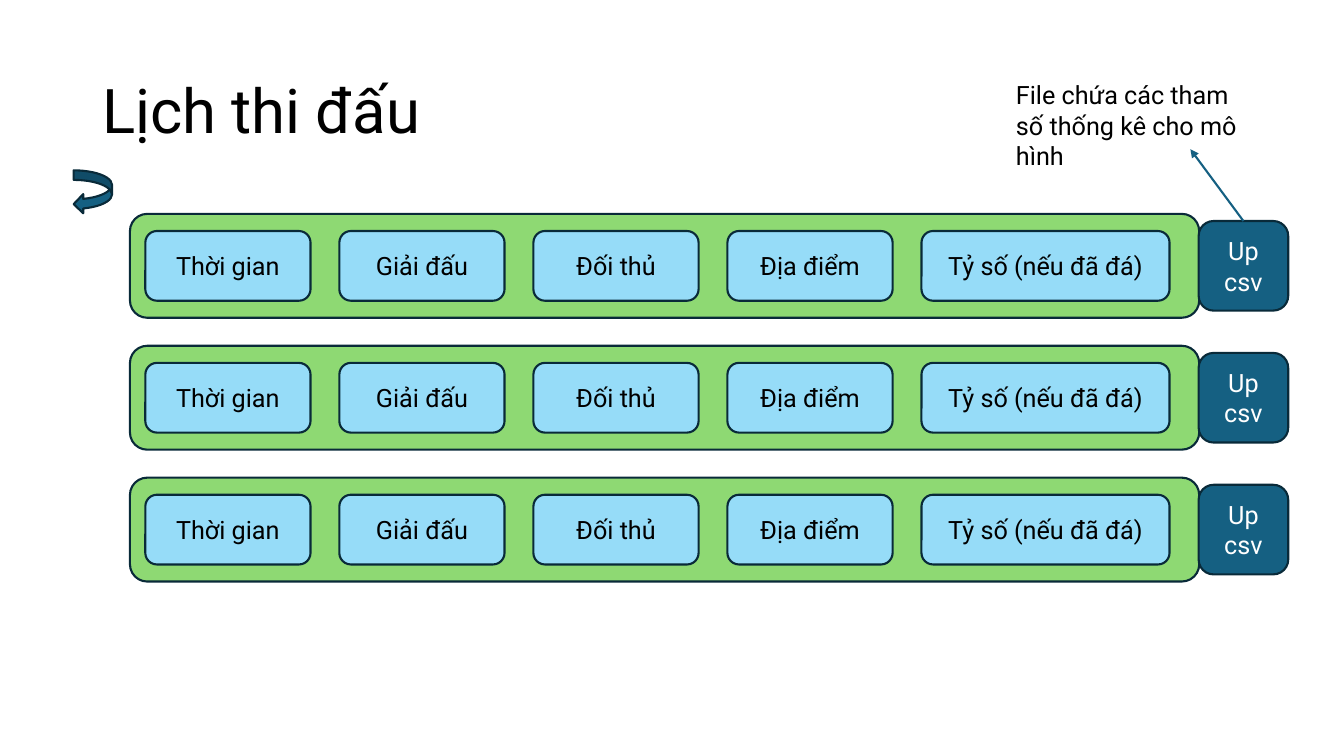
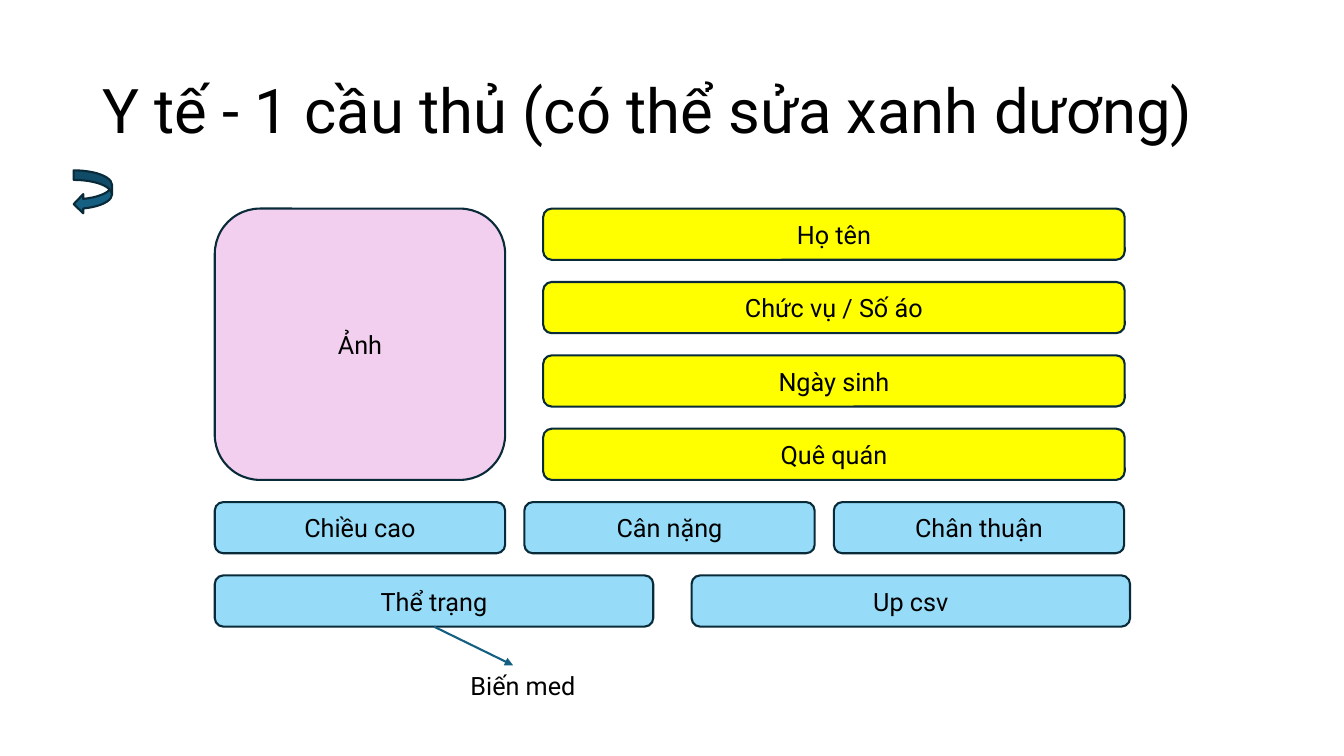
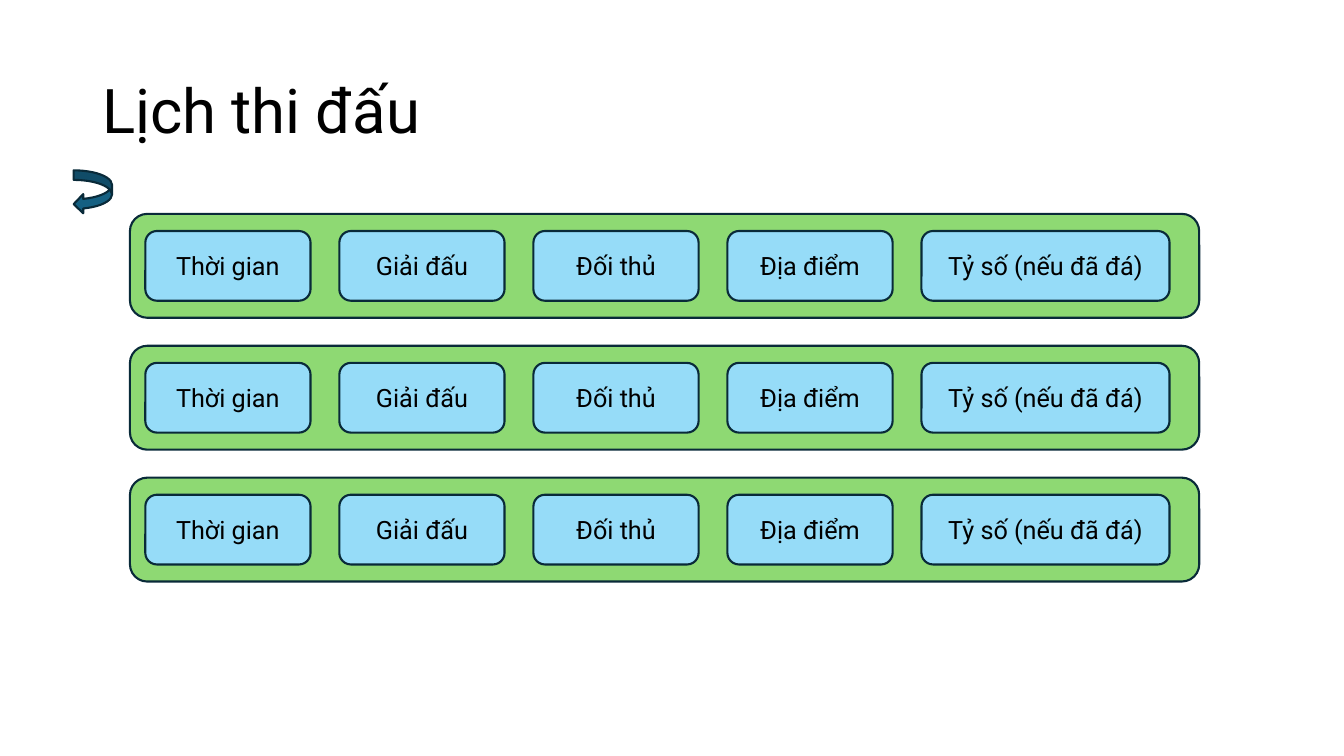
from lxml import etree
from pptx import Presentation
from pptx.dml.color import RGBColor
from pptx.enum import shapes, text
from pptx.oxml import ns
from pptx.util import Pt

# Shared style
FONT = "Roboto"
BLACK, WHITE = "000000", "FFFFFF"
EDGE, TEAL = "092A39", "156082"
GREEN, BLUE, PINK, YELLOW = "8ED973", "96DCF8", "F2CFEE", "FFFF00"
KIND = shapes.MSO_SHAPE
ALIGN, ANCHOR = text.PP_ALIGN, text.MSO_ANCHOR

# Schedule grid
ROWS, ROW_X, ROW_Y, ROW_W, ROW_H, ROW_STEP = 3, 92.8, 152.8, 763.8, 74.2, 94.2
CELL_X, CELL_W, CELL_H, CELL_GAP, LAST_W = 103.8, 118, 49.8, 20.6, 177.2
CELLS = ["Thời gian", "Giải đấu", "Đối thủ", "Địa điểm", "Tỷ số (nếu đã đá)"]
CSV_X, CSV = 856.2, 64

# Player card grid
CARD_X, CARD_Y, CARD_H, CARD_STEP = 153.4, 149, 36.6, 52.4


def color(code):
    return RGBColor.from_string(code)


def write(box, words, size=18, ink=BLACK, align=ALIGN.LEFT, anchor=ANCHOR.TOP):
    frame = box.text_frame
    frame.word_wrap = True
    frame.vertical_anchor = anchor
    para = frame.paragraphs[0]
    para.alignment = align
    run = para.add_run()
    run.text = words
    run.font.name = FONT
    run.font.size = Pt(size)
    run.font.color.rgb = color(ink)
    return para


def label(slide, words, x, y, w, h, **style):
    box = slide.shapes.add_textbox(Pt(x), Pt(y), Pt(w), Pt(h))
    return write(box, words, **style)


def block(slide, x, y, w, h, fill, words="", ink=BLACK, kind=KIND.ROUNDED_RECTANGLE):
    shape = slide.shapes.add_shape(kind, Pt(x), Pt(y), Pt(w), Pt(h))
    shape.shadow.inherit = False
    shape.fill.solid()
    shape.fill.fore_color.rgb = color(fill)
    shape.line.color.rgb = color(EDGE)
    shape.line.width = Pt(1.5)
    if words:
        write(shape, words, ink=ink, align=ALIGN.CENTER, anchor=ANCHOR.MIDDLE)


def arrow(slide, x1, y1, x2, y2):
    link = slide.shapes.add_connector(
        shapes.MSO_CONNECTOR.STRAIGHT, Pt(x1), Pt(y1), Pt(x2), Pt(y2))
    link.line.color.rgb = color(TEAL)
    link.line.width = Pt(1.5)
    # Arrowhead, and no shadow
    etree.SubElement(link.line._get_or_add_ln(), ns.qn("a:tailEnd"), type="triangle")
    etree.SubElement(link._element.spPr, ns.qn("a:effectLst"))


def page(deck, title):
    """Add a slide with its title and return arrow."""
    slide = deck.slides.add_slide(deck.slide_layouts[6])
    para = label(slide, title, 66, 28.8, 828, 104.4, size=44, anchor=ANCHOR.MIDDLE)
    para.line_spacing = 0.9
    block(slide, 52.6, 121.7, 27.4, 31, TEAL, kind=KIND.CURVED_LEFT_ARROW)
    return slide


def plan(deck, upload):
    """Match schedule, with or without upload buttons."""
    slide = page(deck, "Lịch thi đấu")
    for row in range(ROWS):
        top = ROW_Y + row * ROW_STEP
        block(slide, ROW_X, top, ROW_W, ROW_H, GREEN)
        for col, words in enumerate(CELLS):
            wide = LAST_W if words == CELLS[-1] else CELL_W
            block(slide, CELL_X + col * (CELL_W + CELL_GAP),
                  top + (ROW_H - CELL_H) / 2, wide, CELL_H, BLUE, words)
        if upload:
            block(slide, CSV_X, top + (ROW_H - CSV) / 2, CSV, CSV, TEAL, "Up csv", WHITE)
    # Note on the upload button
    if upload:
        arrow(slide, CSV_X + CSV / 2, ROW_Y + (ROW_H - CSV) / 2, 850.3, 106.6)
        label(slide, "File chứa các tham số thống kê cho mô hình", 718.6, 53.3, 188.6, 51)


def card(deck):
    """Medical card of one player."""
    slide = page(deck, "Y tế - 1 cầu thủ (có thể sửa xanh dương)")
    block(slide, CARD_X, CARD_Y, 207.4, 3 * CARD_STEP + CARD_H, PINK, "Ảnh")
    # Fixed fields
    for row, words in enumerate(["Họ tên", "Chức vụ / Số áo", "Ngày sinh", "Quê quán"]):
        block(slide, 388, CARD_Y + row * CARD_STEP, 415.4, CARD_H, YELLOW, words)
    # Editable fields: row, width, gap, labels
    for row, wide, gap, names in [
        (4, 207.4, 13.7, ["Chiều cao", "Cân nặng", "Chân thuận"]),
        (5, 313.2, 27.4, ["Thể trạng", "Up csv"]),
    ]:
        for col, words in enumerate(names):
            block(slide, CARD_X + col * (wide + gap), CARD_Y + row * CARD_STEP,
                  wide, CARD_H, BLUE, words)
    # Note on the condition field
    arrow(slide, 310, CARD_Y + 5 * CARD_STEP + CARD_H, 366.5, 475.2)
    label(slide, "Biến med", 329, 475.2, 100.8, 28.8)


def main():
    deck = Presentation()
    deck.slide_width, deck.slide_height = Pt(960), Pt(540)
    plan(deck, upload=True)
    card(deck)
    plan(deck, upload=False)
    deck.save("out.pptx")


if __name__ == "__main__":
    main()
